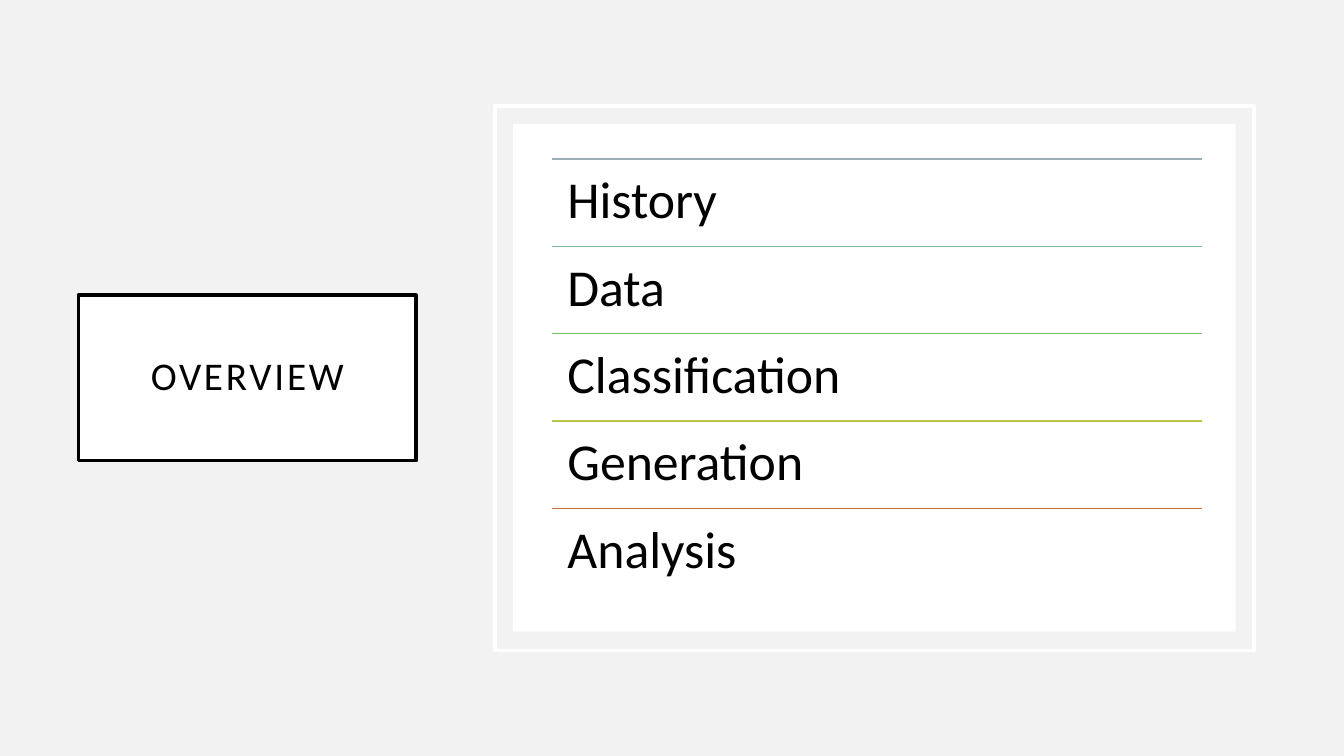
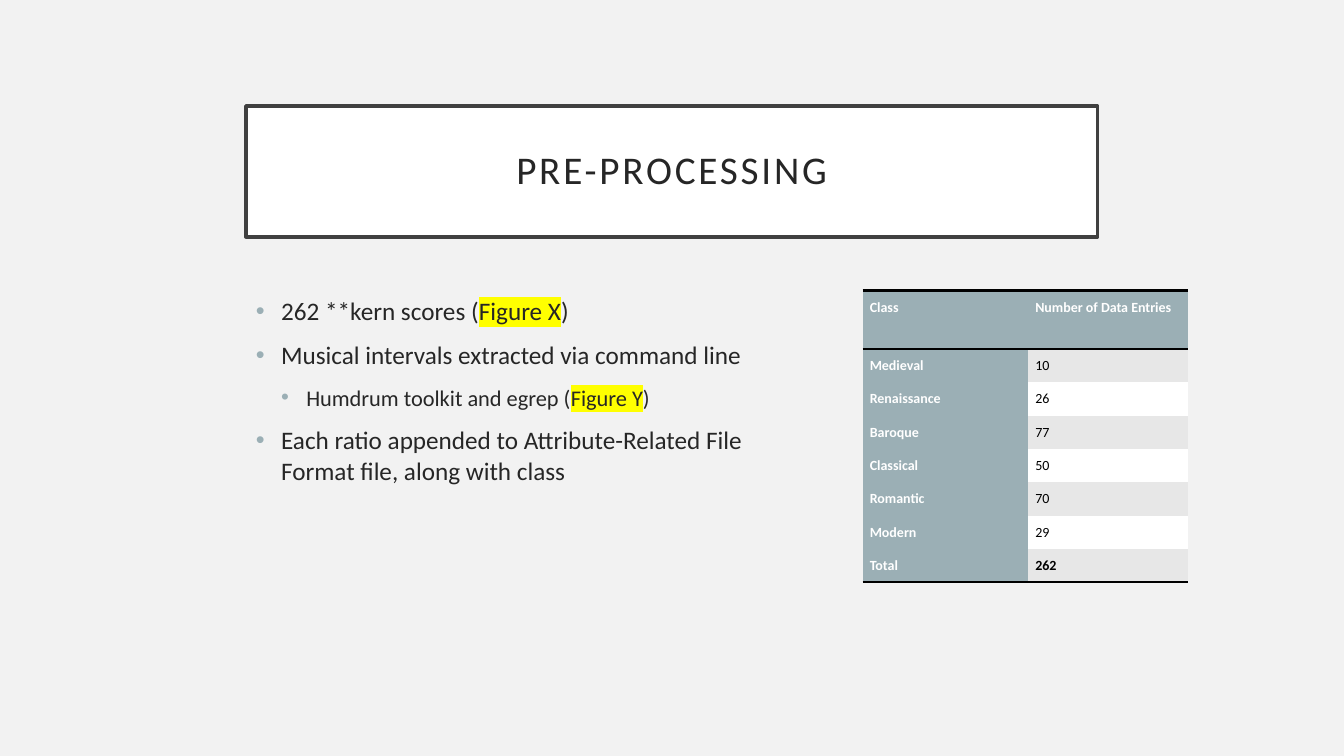
from lxml import etree
from pptx import Presentation
from pptx.dml.color import RGBColor
from pptx.enum.shapes import MSO_CONNECTOR, MSO_SHAPE
from pptx.enum.text import MSO_ANCHOR, PP_ALIGN
from pptx.oxml.ns import qn
from pptx.util import Cm, Pt

RECTANGLE = MSO_SHAPE.RECTANGLE
STRAIGHT = MSO_CONNECTOR.STRAIGHT
MIDDLE = MSO_ANCHOR.MIDDLE
CENTER = PP_ALIGN.CENTER

FONT = "Calibri"
BLACK = "000000"
WHITE = "FFFFFF"
INK = "262626"
FRAME = "404040"
BACKDROP = "F2F2F2"
ACCENT = "9BAFB5"
BAND = "E7E7E7"
HIGHLIGHT = "FFFF00"
NO_STYLE = "{2D5ABB26-0587-4C30-8999-92F81FD0307C}"

TOPICS = [
    ("History", ACCENT),
    ("Data", "83B79E"),
    ("Classification", "7ABC69"),
    ("Generation", "BAC34D"),
    ("Analysis", "C96731"),
]

BULLETS = [
    (0, ["262 **kern scores (", "Figure X", ")"]),
    (0, ["Musical intervals extracted via command line"]),
    (1, ["Humdrum toolkit and egrep (", "Figure Y", ")"]),
    (0, ["Each ratio appended to Attribute-Related File Format file, along with class"]),
]

ENTRIES = [
    ("Class", "Number of Data Entries"),
    ("Medieval", "10"),
    ("Renaissance", "26"),
    ("Baroque", "77"),
    ("Classical", "50"),
    ("Romantic", "70"),
    ("Modern", "29"),
    ("Total", "262"),
]


def rgb(value):
    return RGBColor.from_string(value)


def add_element(parent, tag, **attributes):
    return etree.SubElement(parent, qn(tag), attributes)


def style_span(span, size, color, bold=False):
    span.font.name = FONT
    span.font.size = Pt(size)
    span.font.bold = bold
    span.font.color.rgb = rgb(color)


def set_insets(frame, inset):
    frame.margin_left = frame.margin_right = Cm(inset)
    frame.margin_top = frame.margin_bottom = Cm(inset)


def add_box(page, left, top, width, height, fill=None, line=None):
    box = page.shapes.add_shape(RECTANGLE, Cm(left), Cm(top), Cm(width), Cm(height))
    box.shadow.inherit = False
    if fill:
        box.fill.solid()
        box.fill.fore_color.rgb = rgb(fill)
    else:
        box.fill.background()
    if line:
        box.line.color.rgb = rgb(line)
        box.line.width = Pt(2.5)
    else:
        box.line.fill.background()
    return box


def add_title(page, text, left, top, width, height, color, line):
    frame = add_box(page, left, top, width, height, WHITE, line).text_frame
    frame.word_wrap = True
    frame.vertical_anchor = MIDDLE
    set_insets(frame, 0.51)
    frame.text = text
    para = frame.paragraphs[0]
    para.alignment = CENTER
    para.line_spacing = 0.9
    span = para.runs[0]
    style_span(span, 28, color)
    span.font._element.set("spc", "200")


def add_text_box(page, left, top, width, height):
    box = page.shapes.add_textbox(Cm(left), Cm(top), Cm(width), Cm(height))
    box.text_frame.word_wrap = True
    return box.text_frame


def add_rule(page, left, top, width, color):
    rule = page.shapes.add_connector(
        STRAIGHT, Cm(left), Cm(top), Cm(left + width), Cm(top))
    rule.line.color.rgb = rgb(color)
    rule.line.width = Pt(1)
    add_element(rule._element.spPr, "a:effectLst")


def add_topics(page, left, top, width, pitch):
    for index, (topic, color) in enumerate(TOPICS):
        row_top = top + index * pitch
        add_rule(page, left, row_top, width, color)
        frame = add_text_box(page, left, row_top, width, pitch)
        set_insets(frame, 0.38)
        frame.text = topic
        para = frame.paragraphs[0]
        para.line_spacing = 0.9
        style_span(para.runs[0], 37, BLACK)


def highlight(span):
    properties = span._r.get_or_add_rPr()
    mark = add_element(properties, "a:highlight")
    add_element(mark, "a:srgbClr", val=HIGHLIGHT)
    properties.find(qn("a:latin")).addprevious(mark)


def set_bullet(para, level):
    para.level = level
    para.space_before = Pt(10)
    properties = para._p.get_or_add_pPr()
    properties.set("marL", str(Cm(0.635 * (level + 1))))
    properties.set("indent", str(-Cm(0.635)))
    add_element(add_element(properties, "a:buClr"), "a:srgbClr", val=ACCENT)
    add_element(properties, "a:buFont", typeface="Arial")
    add_element(properties, "a:buChar", char="•")


def add_bullets(page, left, top, width, height):
    frame = add_text_box(page, left, top, width, height)
    for index, (level, pieces) in enumerate(BULLETS):
        para = frame.add_paragraph() if index else frame.paragraphs[0]
        set_bullet(para, level)
        for piece in pieces:
            span = para.add_run()
            span.text = piece
            style_span(span, 18 - 2 * level, INK)
            if piece.startswith("Figure"):
                highlight(span)


def add_borders(cell, sides):
    properties = cell._tc.get_or_add_tcPr()
    for index, side in enumerate(sides):
        border = add_element(properties, "a:ln" + side, w=str(Pt(2)))
        add_element(add_element(border, "a:solidFill"), "a:srgbClr", val=BLACK)
        properties.insert(index, border)


def fill_cell(cell, text, fill, color, bold):
    cell.fill.solid()
    cell.fill.fore_color.rgb = rgb(fill)
    cell.margin_left = cell.margin_right = Cm(0.18)
    cell.margin_top = cell.margin_bottom = 0
    cell.text = text
    para = cell.text_frame.paragraphs[0]
    para.line_spacing = 1.5
    style_span(para.runs[0], 10, color, bold)


def add_entries(page, left, top, widths, header_height, row_height):
    last = len(ENTRIES) - 1
    height = header_height + last * row_height
    table = page.shapes.add_table(
        len(ENTRIES), len(widths), Cm(left), Cm(top), Cm(sum(widths)), Cm(height)).table
    table._tbl.tblPr.find(qn("a:tableStyleId")).text = NO_STYLE
    for column, width in zip(table.columns, widths):
        column.width = Cm(width)
    borders = {0: "TB", last: "B"}
    for row, texts in enumerate(ENTRIES):
        table.rows[row].height = Cm(row_height if row else header_height)
        for column, text in enumerate(texts):
            cell = table.cell(row, column)
            if row == 0 or column == 0:
                fill_cell(cell, text, ACCENT, WHITE, True)
            else:
                fill_cell(cell, text, BAND if row % 2 else WHITE, BLACK, row == last)
            add_borders(cell, borders.get(row, ""))


def add_page(deck):
    return deck.slides.add_slide(deck.slide_layouts[6])


def build_overview(deck):
    page = add_page(deck)
    add_box(page, 12.47, 2.67, 19.13, 13.72, line=WHITE)
    add_box(page, 12.93, 3.12, 18.21, 12.8, fill=WHITE)
    add_title(page, "OVERVIEW", 1.98, 7.44, 8.51, 4.17, BLACK, BLACK)
    add_topics(page, 13.92, 4.01, 16.36, 2.2)


def build_preprocessing(deck):
    page = add_page(deck)
    add_title(page, "PRE-PROCESSING", 6.2, 2.67, 21.46, 3.3, INK, FRAME)
    add_bullets(page, 6.2, 7.32, 13.26, 8.61)
    add_entries(page, 21.74, 7.32, [4.17, 4.04], 1.47, 0.84)


def main():
    deck = Presentation()
    deck.slide_width = Cm(33.87)
    deck.slide_height = Cm(19.05)
    backdrop = deck.slide_master.background.fill
    backdrop.solid()
    backdrop.fore_color.rgb = rgb(BACKDROP)
    build_overview(deck)
    build_preprocessing(deck)
    deck.save("out.pptx")


if __name__ == "__main__":
    main()
